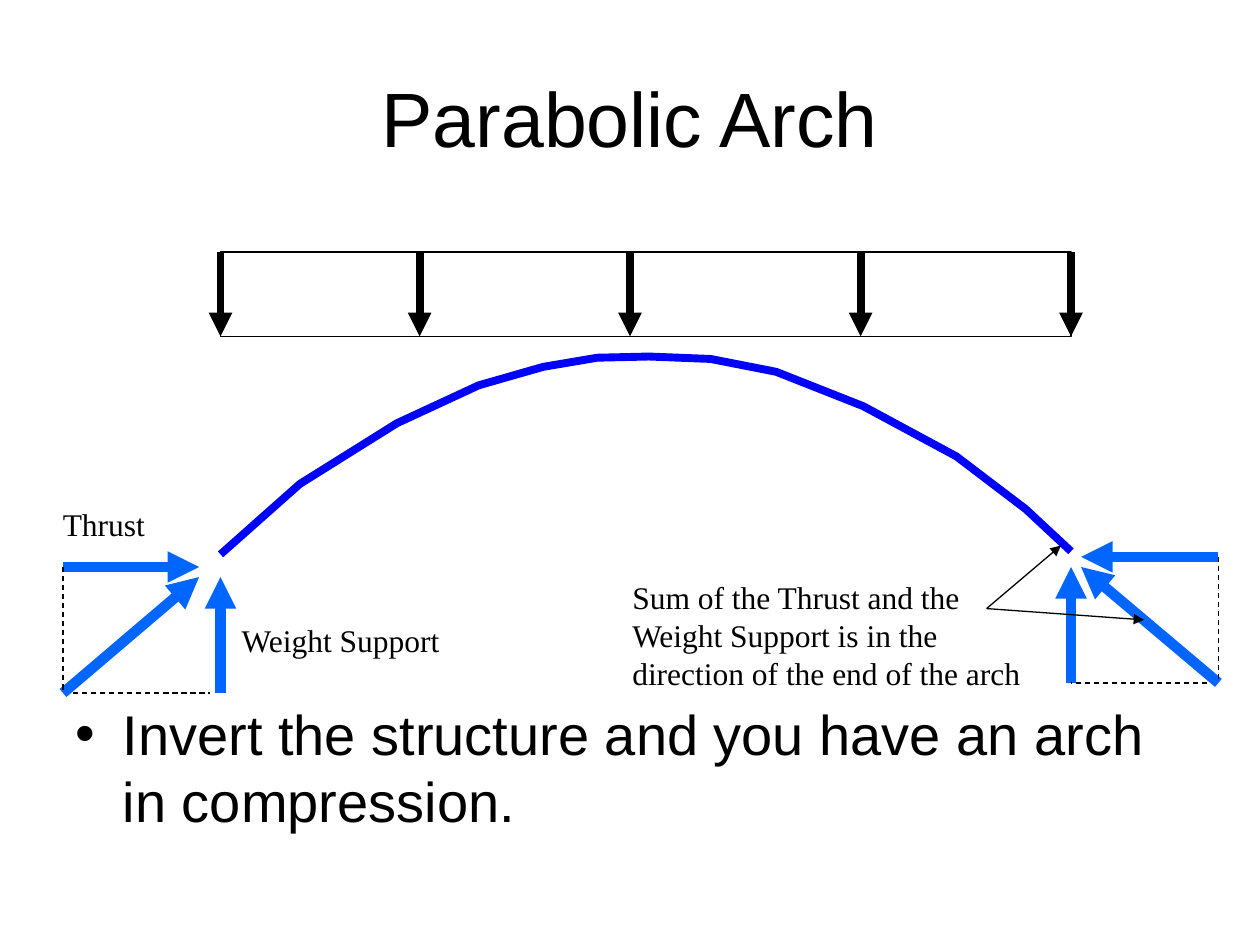
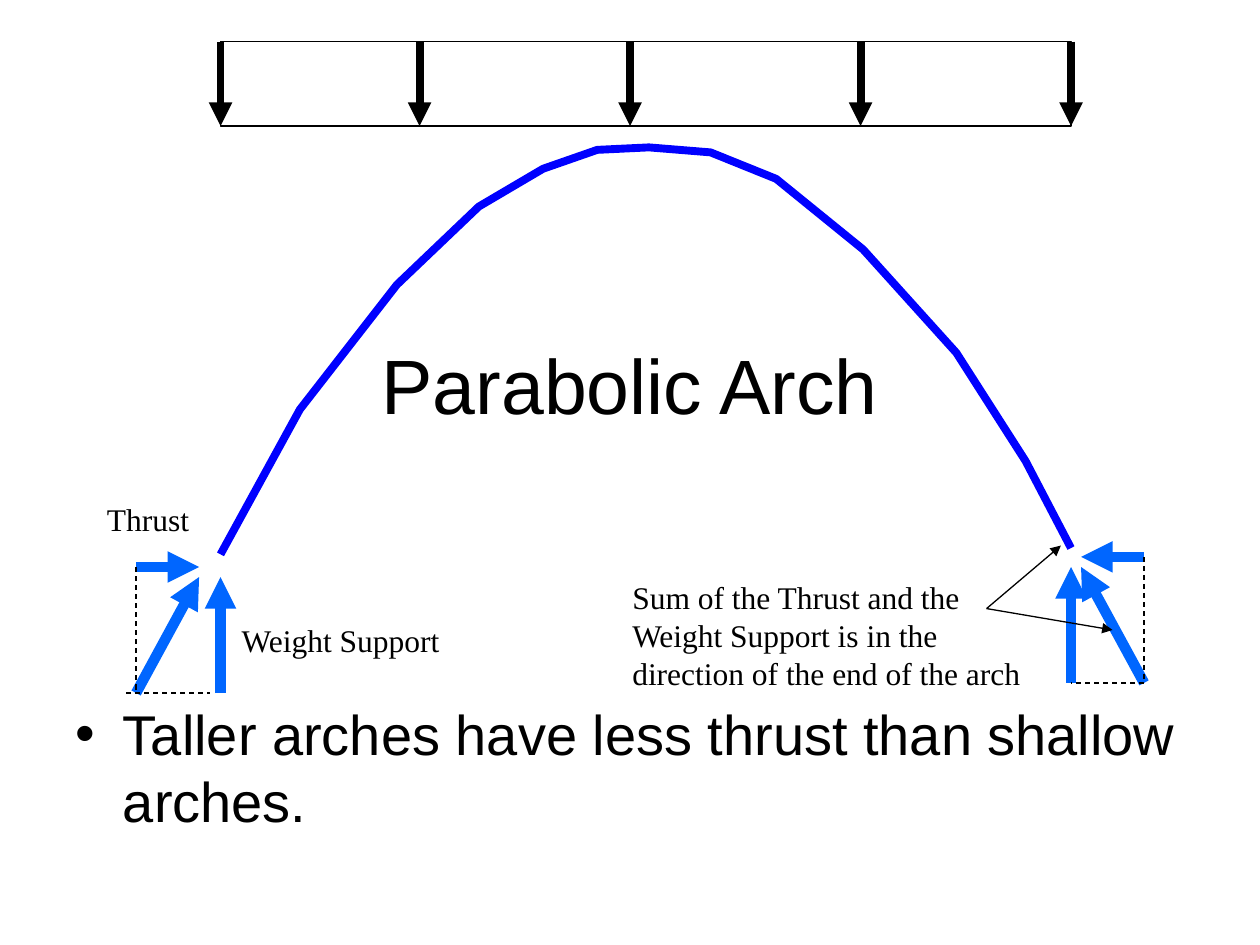
import lxml.etree
import pptx
import pptx.dml.color
import pptx.enum.dml
import pptx.enum.shapes
import pptx.enum.text
import pptx.oxml.ns
import pptx.util
from pptx.util import Inches

BLACK = pptx.dml.color.RGBColor(0x00, 0x00, 0x00)
WHITE = pptx.dml.color.RGBColor(0xFF, 0xFF, 0xFF)
ARCH_BLUE = pptx.dml.color.RGBColor(0x00, 0x00, 0xFF)
FORCE_BLUE = pptx.dml.color.RGBColor(0x00, 0x66, 0xFF)

HEADING_FONT = "Arial"
LABEL_FONT = "Times New Roman"

# Arch outline: x position and drop below the crown of the tall arch
ARCH_PROFILE = [
    (1.75, 3.23), (2.38, 2.08), (3.15, 1.09), (3.8, 0.47), (4.31, 0.17),
    (4.74, 0.02), (5.15, 0), (5.64, 0.04), (6.16, 0.25), (6.85, 0.81),
    (7.59, 1.63), (8.14, 2.49), (8.5, 3.18),
]
ARCH_FOOT = 4.4
LEFT, RIGHT = 1.75, 8.5
LOAD_POSITIONS = (LEFT, 3.33, 5, 6.83, RIGHT)
LOAD_HEIGHT = 0.67
CALLOUT_START = (7.83, 4.83)


def add_child(parent, tag, **attributes):
    return lxml.etree.SubElement(parent, pptx.oxml.ns.qn(tag), **attributes)


def format_text(text_frame, text, font_name, size):
    text_frame.text = text
    paragraph = text_frame.paragraphs[0]
    paragraph.space_before = pptx.util.Pt(0)
    font = paragraph.runs[0].font
    font.name = font_name
    font.size = pptx.util.Pt(size)
    font.color.rgb = BLACK
    return paragraph


def fill_placeholder(placeholder, top, height, text, size, anchor):
    placeholder.left, placeholder.top = Inches(0.5), Inches(top)
    placeholder.width, placeholder.height = Inches(9), Inches(height)
    text_frame = placeholder.text_frame
    text_frame.auto_size = pptx.enum.text.MSO_AUTO_SIZE.NONE
    text_frame.vertical_anchor = anchor
    return format_text(text_frame, text, HEADING_FONT, size)


def add_label(slide, left, top, width, height, text, wrap=False):
    box = slide.shapes.add_textbox(
        Inches(left), Inches(top), Inches(width), Inches(height))
    box.text_frame.word_wrap = wrap
    box.text_frame.auto_size = pptx.enum.text.MSO_AUTO_SIZE.SHAPE_TO_FIT_TEXT
    format_text(box.text_frame, text, LABEL_FONT, 18)


def add_line(slide, start, end, color=BLACK, width=0.75, arrow=False, dashed=False):
    connector = slide.shapes.add_connector(
        pptx.enum.shapes.MSO_CONNECTOR.STRAIGHT,
        Inches(start[0]), Inches(start[1]), Inches(end[0]), Inches(end[1]))
    connector.line.color.rgb = color
    connector.line.width = pptx.util.Pt(width)
    if dashed:
        connector.line.dash_style = pptx.enum.dml.MSO_LINE.DASH
    if arrow:
        add_child(connector.line._get_or_add_ln(), "a:tailEnd", type="triangle")
    add_child(connector._element.spPr, "a:effectLst")


def add_arch(slide, crown):
    scale = (ARCH_FOOT - crown) / ARCH_PROFILE[0][1]
    points = [(Inches(x), Inches(crown + drop * scale)) for x, drop in ARCH_PROFILE]
    builder = slide.shapes.build_freeform(*points[0])
    builder.add_line_segments(points[1:], close=False)
    arch = builder.convert_to_shape()
    arch.shadow.inherit = False
    arch.fill.background()
    arch.line.color.rgb = ARCH_BLUE
    arch.line.width = pptx.util.Pt(4.5)


def add_distributed_load(slide, top):
    band = slide.shapes.add_shape(
        pptx.enum.shapes.MSO_SHAPE.RECTANGLE,
        Inches(LEFT), Inches(top), Inches(RIGHT - LEFT), Inches(LOAD_HEIGHT))
    band.shadow.inherit = False
    band.fill.solid()
    band.fill.fore_color.rgb = WHITE
    fill_color = band._element.spPr.find(".//" + pptx.oxml.ns.qn("a:srgbClr"))
    add_child(fill_color, "a:alpha", val="31000")
    band.line.color.rgb = BLACK
    band.line.width = pptx.util.Pt(0.75)
    for x in LOAD_POSITIONS:
        add_line(slide, (x, top), (x, top + LOAD_HEIGHT), width=4.5, arrow=True)


def add_support(slide, foot_x, tip_x, corner_x, top, dash_start, dash_end):
    """Thrust, weight support and their sum, with the dashed force rectangle."""
    base = top + 1
    tip_y = top + 0.08
    forces = [
        ((corner_x, top), (tip_x, top)),
        ((foot_x, base), (foot_x, tip_y)),
        ((corner_x, base), (tip_x, tip_y)),
    ]
    for start, end in forces:
        add_line(slide, start, end, FORCE_BLUE, 6, arrow=True)
    add_line(slide, (dash_start, base), (dash_end, base), dashed=True)
    add_line(slide, (corner_x, top), (corner_x, base), dashed=True)


def add_arch_slide(presentation, title_top, statement, load_top, crown,
                   corners, dash_starts, thrust_label, sum_target):
    slide = presentation.slides.add_slide(presentation.slide_layouts[1])

    # Title and statement
    title = fill_placeholder(slide.shapes.title, title_top, 1.25, "Parabolic Arch",
                             44, pptx.enum.text.MSO_ANCHOR.MIDDLE)
    title.alignment = pptx.enum.text.PP_ALIGN.CENTER
    fill_placeholder(slide.placeholders[1], 5.5, 1.2, statement,
                     32, pptx.enum.text.MSO_ANCHOR.TOP)

    # Arch, load and supports
    add_arch(slide, crown)
    add_distributed_load(slide, load_top)
    add_support(slide, LEFT, 1.58, corners[0], 4.5, dash_starts[0], 1.67)
    add_support(slide, RIGHT, 8.58, corners[1], 4.42, dash_starts[1], RIGHT)

    # Labels and callout arrows
    add_label(slide, *thrust_label, 0.85, 0.4, "Thrust")
    add_label(slide, 1.82, 4.88, 1.79, 0.4, "Weight Support")
    add_label(slide, 4.92, 4.54, 3.33, 1,
              "Sum of the Thrust and the Weight Support is in the "
              "direction of the end of the arch", wrap=True)
    for target in (sum_target, (8.42, 4.33)):
        add_line(slide, CALLOUT_START, target, arrow=True)


def main():
    presentation = pptx.Presentation()
    presentation.slide_width = Inches(10)
    presentation.slide_height = Inches(7.5)

    # Shallow arch
    add_arch_slide(
        presentation, title_top=0.3,
        statement="Invert the structure and you have an arch in compression.",
        load_top=2, crown=2.83, corners=(0.5, 9.67), dash_starts=(0.58, 9.58),
        thrust_label=(0.4, 3.96), sum_target=(9.08, 4.92))

    # Tall arch
    add_arch_slide(
        presentation, title_top=2.42,
        statement="Taller arches have less thrust than shallow arches.",
        load_top=0.33, crown=1.17, corners=(1.08, 9.08), dash_starts=(1, 9.08),
        thrust_label=(0.75, 3.92), sum_target=(8.83, 5))

    presentation.save("out.pptx")


if __name__ == "__main__":
    main()
